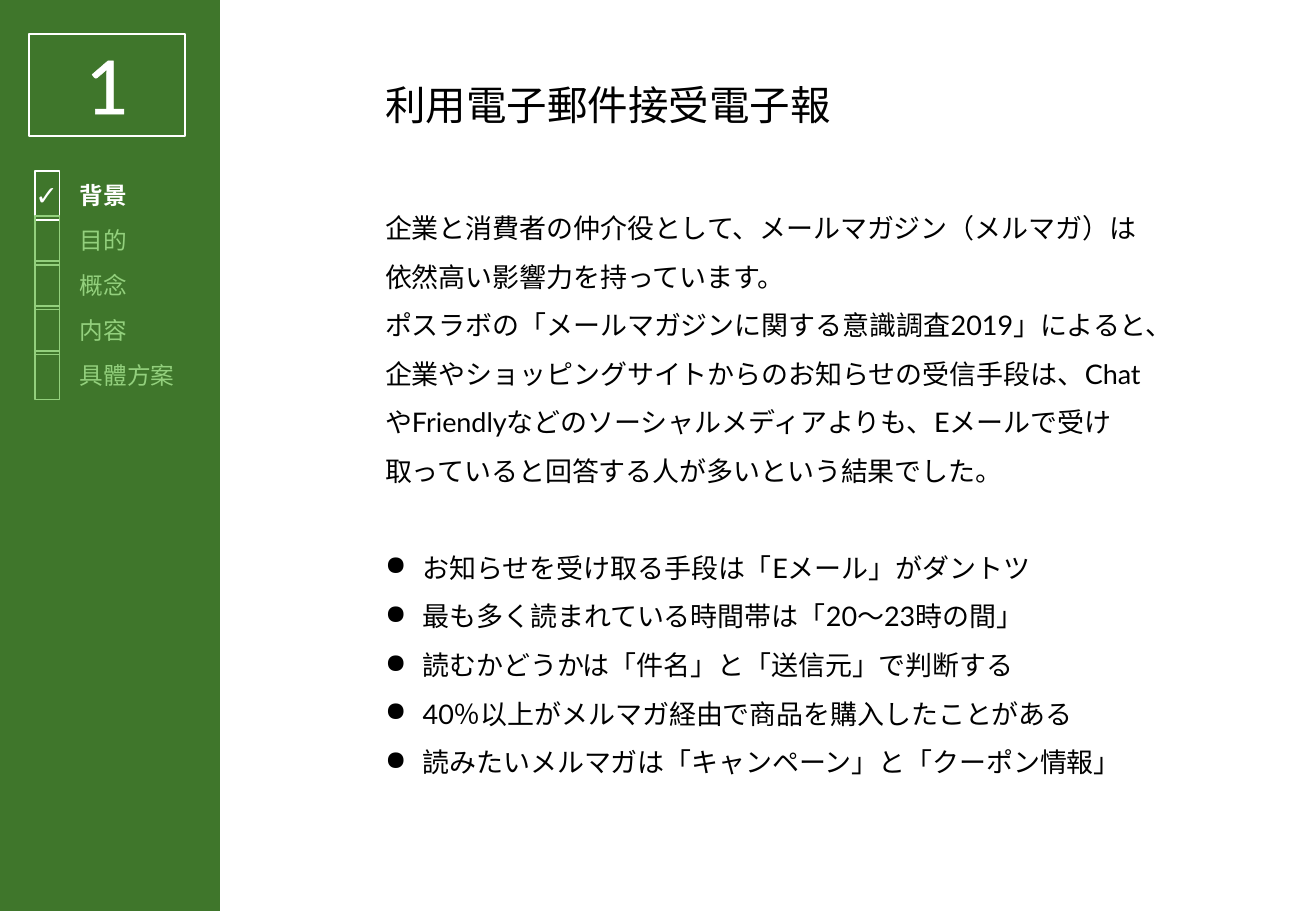
from pptx import Presentation
from pptx.dml.color import RGBColor
from pptx.enum.shapes import MSO_SHAPE
from pptx.enum.text import PP_ALIGN
from pptx.oxml.ns import qn
from pptx.util import Inches, Pt
from lxml.etree import SubElement, fromstring

# Content
TITLE = "利用電子郵件接受電子報"
TOPICS = ["背景", "目的", "概念", "内容", "具體方案"]
INTRO = [
    "企業と消費者の仲介役として、メールマガジン（メルマガ）は依然高い影響力を持っています。",
    "ポスラボの「メールマガジンに関する意識調査2019」によると、企業やショッピングサイトからのお知らせの受信手段は、"
    "ChatやFriendlyなどのソーシャルメディアよりも、Eメールで受け取っていると回答する人が多いという結果でした。",
]
POINTS = [
    "お知らせを受け取る手段は「Eメール」がダントツ",
    "最も多く読まれている時間帯は「20～23時の間」",
    "読むかどうかは「件名」と「送信元」で判断する",
    "40％以上がメルマガ経由で商品を購入したことがある",
    "読みたいメルマガは「キャンペーン」と「クーポン情報」",
]
GREEN, PALE, WHITE, BLACK = "3F762B", "93D07D", "FFFFFF", "000000"
LATIN, CJK = "Lato", "Noto Sans CJK JP"
STEP = 0.37  # distance between topics

deck = Presentation()
deck.slide_width, deck.slide_height = Inches(10.83), Inches(7.5)
slide = deck.slides.add_slide(deck.slide_layouts[6])


def color(code):
    return RGBColor.from_string(code)


def add_box(at, fill=None, line=None):
    box = slide.shapes.add_shape(MSO_SHAPE.RECTANGLE, *map(Inches, at))
    box.shadow.inherit = False
    if fill:
        box.fill.solid()
        box.fill.fore_color.rgb = color(fill)
    else:
        box.fill.background()
    if line:
        box.line.color.rgb = color(line)
        box.line.width = Pt(1)
    else:
        box.line.fill.background()


def add_bullet(para):
    props = para._p.get_or_add_pPr()
    props.set("marL", str(Inches(0.31)))
    props.set("indent", str(-Inches(0.31)))
    SubElement(props, qn("a:buChar")).set("char", "●")


def add_text(at, lines, size=14, ink=WHITE, font=LATIN, bold=False,
             center=False, wrap=False, space=None, bullets=0, gap=0):
    """Write lines in a box; the last `bullets` lines get bullets, after a gap."""
    frame = slide.shapes.add_textbox(*map(Inches, at)).text_frame
    frame.word_wrap = wrap
    first = len(lines) - bullets
    for i, line in enumerate(lines):
        para = frame.add_paragraph() if i else frame.paragraphs[0]
        para.alignment = PP_ALIGN.CENTER if center else PP_ALIGN.LEFT
        if space:
            para.line_spacing = space
        if gap and i == first:
            para.space_before = Pt(gap)
        if i >= first:
            add_bullet(para)
        run = para.add_run()
        run.text = line
        run.font.size, run.font.bold = Pt(size), bold
        run.font.name = font
        run.font.color.rgb = color(ink)
        SubElement(run.font._element, qn("a:ea")).set("typeface", CJK)
    return frame


# Sidebar and page number
add_box((0, 0, 1.81, 7.5), fill=GREEN)
number = add_text((0.49, 0.28, 0.79, 0.84), ["1"], size=44, center=True)
number.paragraphs[0].runs[0].font._element.insert(0, fromstring(
    '<a:ln xmlns:a="http://schemas.openxmlformats.org/drawingml/2006/main" w="9525">'
    f'<a:solidFill><a:srgbClr val="{WHITE}"/></a:solidFill></a:ln>'))

# Topics with check boxes, the first one active
for i, topic in enumerate(TOPICS):
    ink = PALE if i else WHITE
    add_text((0.56, 1.44 + i * STEP, 1.18, 0.34), [topic], ink=ink, bold=i == 0)
    add_box((0.29, 1.41 + i * STEP, 0.2, 0.4), line=ink)
add_text((0.17, 1.42, 0.43, 0.37), ["✓"], size=16, bold=True, center=True)
add_box((0.24, 0.28, 1.28, 0.84), line=WHITE)

# Body and title
add_text((3.07, 1.56, 6.48, 4.91), INTRO + POINTS, size=16, ink=BLACK, wrap=True,
         space=1.5, bullets=len(POINTS), gap=28.8)
add_text((3.07, 0.61, 5.28, 0.5), [TITLE], size=24, ink=BLACK, font=CJK, wrap=True)

deck.save("out.pptx")
